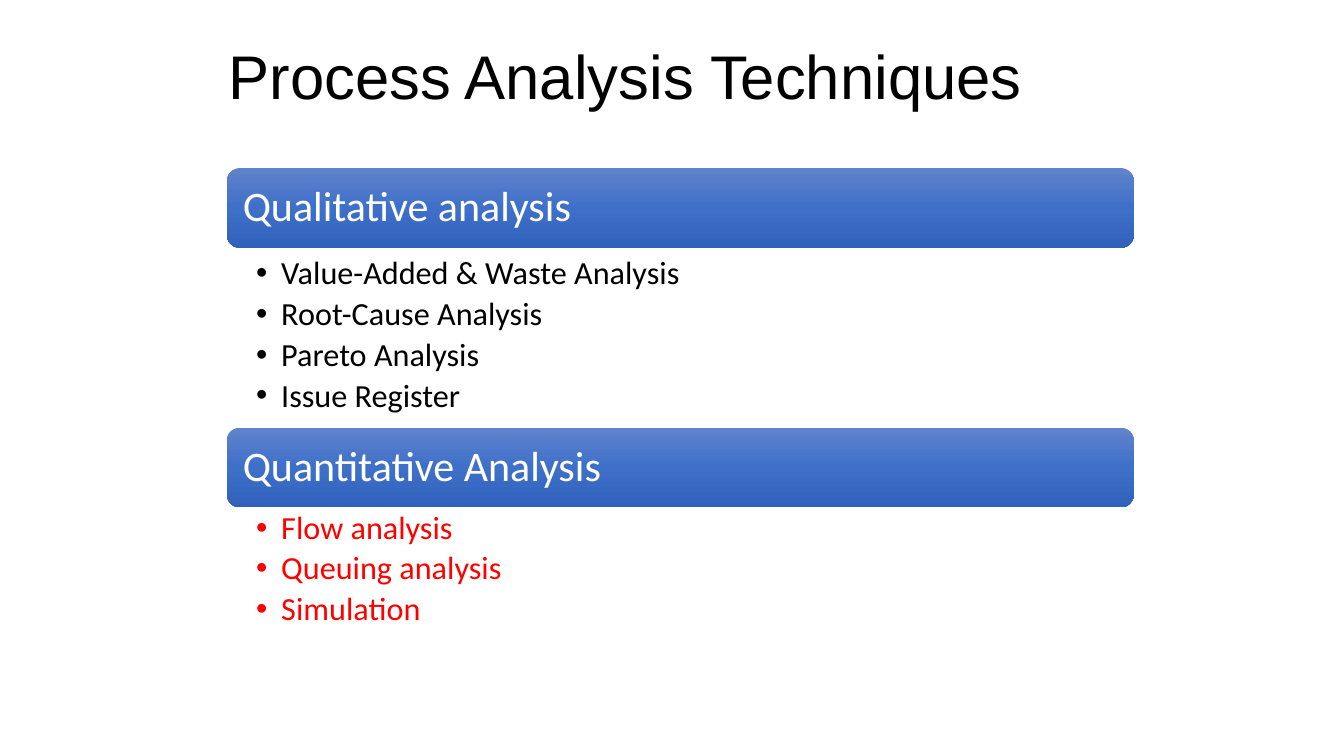
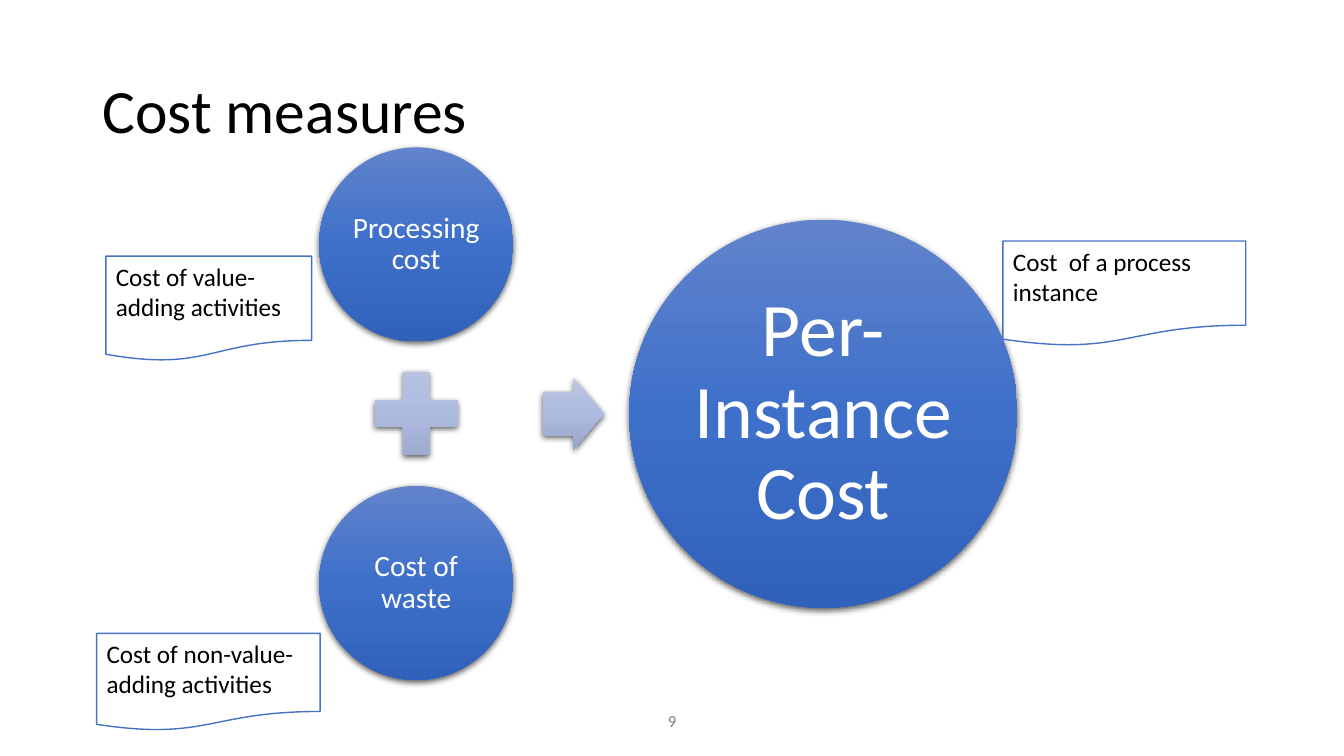
import dataclasses
import typing

import lxml.etree
import pptx
import pptx.dml.color
import pptx.enum.shapes
import pptx.enum.text
import pptx.oxml.ns
import pptx.util

qn = pptx.oxml.ns.qn
Pt = pptx.util.Pt
Inches = pptx.util.Inches
RGB = pptx.dml.color.RGBColor
SHAPE = pptx.enum.shapes.MSO_SHAPE
ALIGN = pptx.enum.text.PP_ALIGN
ANCHOR = pptx.enum.text.MSO_ANCHOR

# Slide grid: 160 columns by 90 rows of square cells
SLIDE_WIDTH, SLIDE_HEIGHT = Inches(13.33), Inches(7.5)
COLUMNS, ROWS = 160, 90

COLORS = {"text": "000000", "inverse": "FFFFFF", "accent": "FF0000",
          "outline": "4472C4", "number": "808080", "paper": "FFFFFF"}
STRONG = ("6183CB", "3E70CA", "3062BB")
SOFT = ("BBC5E3", "AEBBE0", "98A4CB")


class Box(typing.NamedTuple):
    """Left, top, width and height in grid cells."""
    left: float
    top: float
    width: float
    height: float


def centred(column: float, row: float, width: float, height: float) -> Box:
    return Box(column - width / 2, row - height / 2, width, height)


@dataclasses.dataclass
class TextStyle:
    size: float
    color: str = "text"
    font: str = "Calibri"
    align: ALIGN = ALIGN.LEFT
    anchor: ANCHOR = ANCHOR.TOP
    line_spacing: float = 0.9
    space_after: float = 0
    bulleted: bool = False
    insets: tuple = (0.1, 0.05, 0.1, 0.05)


@dataclasses.dataclass
class Section:
    heading: str
    items: list
    color: str
    top: float
    list_top: float
    list_height: float


@dataclasses.dataclass
class Symbol:
    kind: SHAPE
    box: Box
    gradient: tuple
    text: str = ""
    size: float = 21
    inset: float = 0.03


@dataclasses.dataclass
class Note:
    text: str
    box: Box


def position(box: Box) -> dict:
    x, y = SLIDE_WIDTH / COLUMNS, SLIDE_HEIGHT / ROWS
    return {"left": round(box.left * x), "top": round(box.top * y),
            "width": round(box.width * x), "height": round(box.height * y)}


def apply(target, values: dict) -> None:
    for name, value in values.items():
        setattr(target, name, value)


def write(shape, lines: list, style: TextStyle) -> None:
    frame = shape.text_frame
    left, top, right, bottom = map(Inches, style.insets)
    apply(frame, {"word_wrap": True, "vertical_anchor": style.anchor,
                  "auto_size": pptx.enum.text.MSO_AUTO_SIZE.NONE,
                  "margin_left": left, "margin_top": top,
                  "margin_right": right, "margin_bottom": bottom})
    for index, line in enumerate(lines):
        paragraph = frame.add_paragraph() if index else frame.paragraphs[0]
        apply(paragraph, {"alignment": style.align,
                          "line_spacing": style.line_spacing,
                          "space_after": Pt(style.space_after)})
        if style.bulleted:
            properties = paragraph._p.get_or_add_pPr()
            properties.set("marL", str(Inches(0.25)))
            properties.set("indent", str(Inches(-0.25)))
            lxml.etree.SubElement(properties, qn("a:buFont"), typeface="Arial")
            lxml.etree.SubElement(properties, qn("a:buChar"), char="•")
        run = paragraph.add_run()
        run.text = line
        apply(run.font, {"name": style.font, "size": Pt(style.size)})
        run.font.color.rgb = RGB.from_string(COLORS[style.color])


def add_text(slide, box: Box, lines: list, style: TextStyle) -> None:
    write(slide.shapes.add_textbox(**position(box)), lines, style)


def add_figure(slide, kind: SHAPE, box: Box):
    figure = slide.shapes.add_shape(kind, **position(box))
    figure.shadow.inherit = False
    return figure


def fill_gradient(figure, colors: tuple) -> None:
    figure.fill.gradient()
    figure.fill.gradient_angle = 270
    figure.line.fill.background()
    stops = figure._element.spPr.find(".//" + qn("a:gsLst"))
    for stop in list(stops):
        stops.remove(stop)
    for index, color in enumerate(colors):
        stop = lxml.etree.SubElement(stops, qn("a:gs"), pos=str(index * 50000))
        lxml.etree.SubElement(stop, qn("a:srgbClr"), val=color)


def cast_shadow(figure) -> None:
    effects = figure._element.spPr.find(qn("a:effectLst"))
    shadow = lxml.etree.SubElement(
        effects, qn("a:outerShdw"), blurRad=str(Pt(4.5)), dist=str(Pt(1.5)),
        dir="5400000", algn="ctr", rotWithShape="0")
    color = lxml.etree.SubElement(shadow, qn("a:srgbClr"), val=COLORS["text"])
    lxml.etree.SubElement(color, qn("a:alpha"), val="63000")


def add_titled_slide(deck, title: str, box: Box, font: str):
    slide = deck.slides.add_slide(deck.slide_layouts[5])
    heading = slide.shapes.title
    apply(heading, position(box))
    write(heading, [title], TextStyle(44, font=font, anchor=ANCHOR.MIDDLE))
    return slide


def add_section(slide, section: Section) -> None:
    left, width = 27, 108
    band = add_figure(slide, SHAPE.ROUNDED_RECTANGLE,
                      Box(left, section.top, width, 9.5))
    fill_gradient(band, STRONG)
    write(band, [section.heading],
          TextStyle(30, "inverse", anchor=ANCHOR.MIDDLE, insets=(0.12,) * 4))
    add_text(slide, Box(left, section.list_top, width, section.list_height),
             section.items,
             TextStyle(23, section.color, space_after=4.3, bulleted=True,
                       insets=(0.29, 0.04, 0.23, 0.04)))


def add_symbol(slide, symbol: Symbol) -> None:
    figure = add_figure(slide, symbol.kind, symbol.box)
    fill_gradient(figure, symbol.gradient)
    cast_shadow(figure)
    if symbol.kind == SHAPE.RIGHT_ARROW:
        figure.adjustments[0] = 0.6
    if symbol.text:
        write(figure, [symbol.text],
              TextStyle(symbol.size, "inverse", align=ALIGN.CENTER,
                        anchor=ANCHOR.MIDDLE, insets=(symbol.inset,) * 4))


def add_note(slide, note: Note) -> None:
    paper = add_figure(slide, SHAPE.FLOWCHART_DOCUMENT, note.box)
    paper.fill.solid()
    paper.fill.fore_color.rgb = RGB.from_string(COLORS["paper"])
    paper.line.color.rgb = RGB.from_string(COLORS["outline"])
    paper.line.width = Pt(1)
    write(paper, [note.text], TextStyle(18, line_spacing=1.0))


def build_techniques(deck) -> None:
    slide = add_titled_slide(deck, "Process Analysis Techniques",
                             Box(26, 2, 108, 15), "Arial")
    sections = [
        Section("Qualitative analysis",
                ["Value-Added & Waste Analysis", "Root-Cause Analysis",
                 "Pareto Analysis", "Issue Register"],
                "text", 20, 30.1, 20.8),
        Section("Quantitative Analysis",
                ["Flow analysis", "Queuing analysis", "Simulation"],
                "accent", 50.9, 60.4, 15.8),
    ]
    for section in sections:
        add_section(slide, section)


def build_costs(deck) -> None:
    slide = add_titled_slide(deck, "Cost measures",
                             Box(11, 4.8, 138, 17.4), "Calibri")

    # Equation: two stacked terms around a plus, then an arrow to the total
    middle, terms, term, plus, gap, total = 49.25, 49.55, 23.1, 13.4, 1.9, 46.2
    offset = (term + plus) / 2 + gap
    symbols = [
        Symbol(SHAPE.OVAL, centred(terms, middle - offset, term, term),
               STRONG, "Processing cost"),
        Symbol(SHAPE.MATH_PLUS, centred(terms, middle, plus, plus), SOFT),
        Symbol(SHAPE.OVAL, centred(terms, middle + offset, term, term),
               STRONG, "Cost of waste"),
        Symbol(SHAPE.RIGHT_ARROW, centred(68.25, middle, 7.3, 8.6), SOFT),
        Symbol(SHAPE.OVAL, centred(98, middle, total, total),
               STRONG, "Per-Instance Cost", 54, 0.07),
    ]
    for symbol in symbols:
        add_symbol(slide, symbol)

    # Explanatory notes
    notes = [
        Note("Cost of value-adding activities", Box(12.6, 30.5, 24.5, 12.5)),
        Note("Cost  of a process instance", Box(119.4, 28.7, 28.9, 12.5)),
        Note("Cost of non-value-adding activities",
             Box(11.5, 75.4, 26.6, 11.6)),
    ]
    for note in notes:
        add_note(slide, note)

    # Page number
    add_text(slide, Box(53, 83.4, 54, 4.8), ["9"],
             TextStyle(12, "number", align=ALIGN.CENTER, anchor=ANCHOR.MIDDLE,
                       line_spacing=1.0))


def main() -> None:
    deck = pptx.Presentation()
    apply(deck, {"slide_width": SLIDE_WIDTH, "slide_height": SLIDE_HEIGHT})
    build_techniques(deck)
    build_costs(deck)
    deck.save("out.pptx")


if __name__ == "__main__":
    main()
